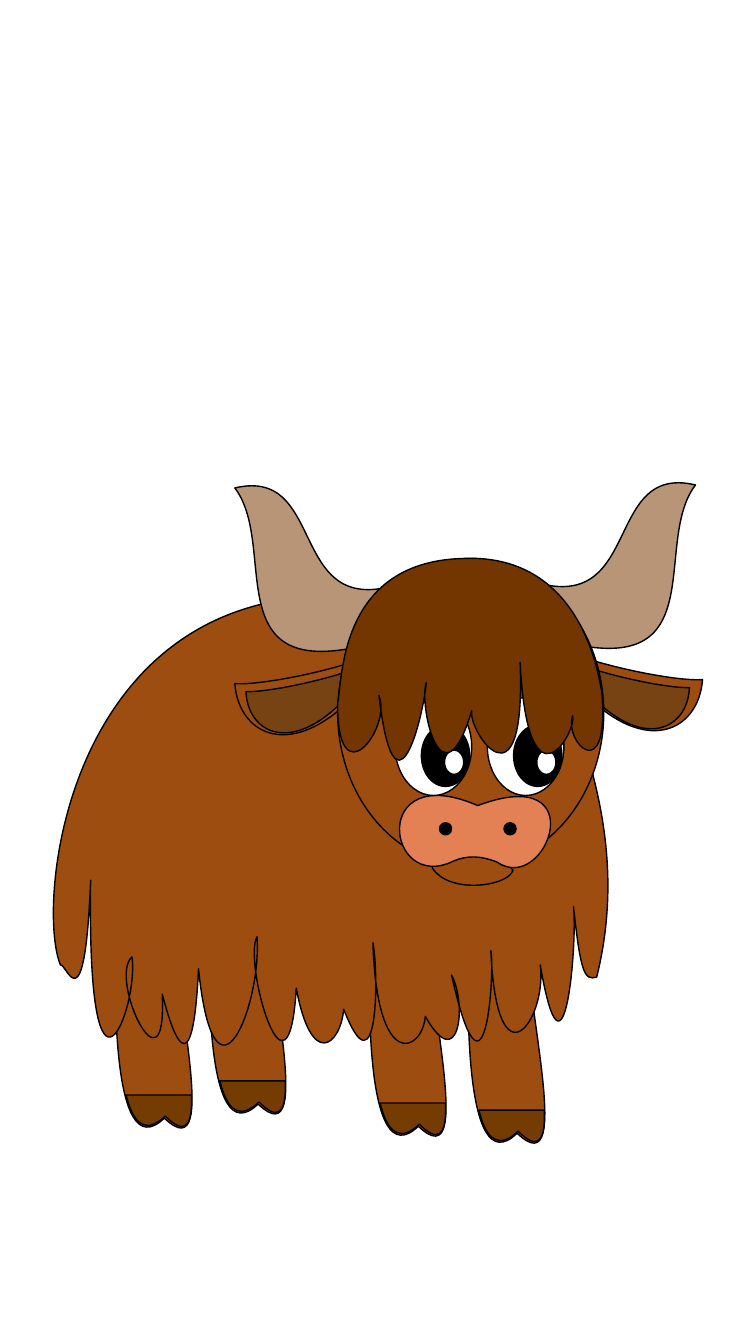
from lxml import etree
from pptx import Presentation, util as u
from pptx.dml.color import RGBColor
from pptx.enum import shapes
from pptx.oxml import ns

COLUMNS, ROWS = 750, 1333
CELL = u.Inches(0.01)
COLOURS = {
    "white": "FFFFFF", "black": "000000", "coat": "9D4D10", "fringe": "733600",
    "hoof": "743C01", "horn": "B89577", "inner ear": "784312", "muzzle": "E38054",
}

deck = Presentation()
deck.slide_width, deck.slide_height = COLUMNS * CELL, ROWS * CELL
slide = deck.slides.add_slide(deck.slide_layouts[6])


def paint(part, colour, outline="black"):
    part.shadow.inherit = False
    part.fill.solid()
    part.fill.fore_color.rgb = RGBColor.from_string(COLOURS[colour])
    part.line.color.rgb = RGBColor.from_string(COLOURS[outline])
    part.line.width = u.Pt(1)


def trace(outline, colour, left=0, top=0, direction=1):
    """Draw a closed outline of grid points (x, y) and cubic curves (x1, y1, x2, y2, x, y).

    A direction of -1 mirrors the outline, with left as the place of its zero.
    """
    steps = [[(round((left + direction * x) * CELL), round((top + y) * CELL))
              for x, y in zip(step[::2], step[1::2])] for step in outline]

    # The frame spans the curves themselves, not their control points
    reached = []
    for before, step in zip([steps[0]] + steps, steps):
        reached.append(step[-1])
        if len(step) == 3:
            for t in (i / 40 for i in range(40)):
                weights = ((1 - t) ** 3, 3 * t * (1 - t) ** 2, 3 * t * t * (1 - t), t ** 3)
                curve = [before[-1], *step]
                reached.append(tuple(sum(w * p[axis] for w, p in zip(weights, curve))
                                     for axis in (0, 1)))
    xs, ys = zip(*reached)
    builder = slide.shapes.build_freeform(round(min(xs)), round(min(ys)))
    builder.add_line_segments([(round(max(xs)), round(max(ys)))])
    part = builder.convert_to_shape()

    # Swap the frame's diagonal for the curved outline
    route = part._element.find(".//" + ns.qn("a:path"))
    for segment in list(route):
        route.remove(segment)
    for i, step in enumerate(steps):
        tag = "a:moveTo" if i == 0 else "a:cubicBezTo" if len(step) == 3 else "a:lnTo"
        segment = etree.SubElement(route, ns.qn(tag))
        for x, y in step:
            etree.SubElement(segment, ns.qn("a:pt"), x=str(x - part.left), y=str(y - part.top))
    etree.SubElement(route, ns.qn("a:close"))
    paint(part, colour)


ground = slide.shapes.add_shape(
    shapes.MSO_SHAPE.RECTANGLE, 0, 433 * CELL, COLUMNS * CELL, 900 * CELL)
paint(ground, "white", "white")

# Legs and hooves, the nearest one first
leg = [(58, 0), (2, 0), (-1, 68, -6, 266, 49, 213), (108, 269, 53, 70, 58, 0)]
hoof = [(76, 190), (11, 190), (14, 200), (21, 220, 32, 228, 50, 211),
        (68, 229, 75, 222, 76, 201)]
for left, top in [(464, 911), (366, 904), (114, 896), (207, 882)]:
    trace(leg, "coat", left, top)
    trace(hoof, "hoof", left, top)

# Right ear and horn, body, then the mirrored ear and horn
ear = [(697, 674), (675, 676, 602, 663, 553, 643), (563, 669),
       (634, 756, 693, 728, 697, 674)]
horn = [(690, 481), (594, 458, 642, 625, 513, 571), (546, 633),
        (713, 682, 645, 540, 690, 481)]
inner_ear = [(684, 682), (666, 683, 607, 672, 566, 656), (575, 677),
             (633, 748, 682, 726, 684, 682)]
body = [
    (546, 643),
    (80, 442, 30, 884, 60, 957), (66, 955, 84, 1022, 90, 873),
    (86, 1134, 138, 999, 131, 949), (107, 971, 166, 1093, 161, 986),
    (163, 992, 190, 1108, 197, 961), (213, 1116, 260, 995, 255, 929),
    (241, 955, 286, 1112, 294, 980), (309, 1062, 338, 1036, 341, 1001),
    (375, 1088, 376, 967, 370, 935), (374, 1065, 419, 1043, 422, 1008),
    (455, 1067, 464, 997, 448, 967), (482, 1119, 491, 961, 487, 943),
    (493, 1082, 543, 1011, 536, 957), (560, 1097, 573, 933, 569, 899),
    (576, 965, 580, 973, 592, 969), (624, 840, 580, 735, 546, 643),
]
trace(ear, "coat")
trace(horn, "horn")
trace(body, "coat")
trace(ear, "coat", 930, 4, -1)
trace(horn, "horn", 923, 3, -1)
trace(inner_ear, "inner ear", 928, 4, -1)
trace(inner_ear, "inner ear")

# Face
mouth = [(508, 865), (515, 862, 485, 848, 471, 848), (458, 847, 424, 857, 429, 861),
         (446, 887, 501, 879, 508, 865)]
muzzle = [(474, 799), (366, 752, 383, 887, 450, 854), (464, 848, 478, 849, 493, 855),
          (542, 889, 591, 755, 474, 799)]
head = [(335, 554, 264, 306, "coat")]
features = [(left, 816, 12, 12, "black") for left in (500, 436)]
for eye_left in (392, 483.5):
    features += [(eye_left, 692, 76, 97, "white"),
                 (eye_left + 26, 719, 48, 61, "black"),
                 (eye_left + 49, 744, 19, 24, "white")]
for ovals, outlines in [(head, [(mouth, "coat"), (muzzle, "muzzle")]), (features, [])]:
    for *frame, colour in ovals:
        paint(slide.shapes.add_shape(
            shapes.MSO_SHAPE.OVAL, *(round(length * CELL) for length in frame)), colour)
    for outline, colour in outlines:
        trace(outline, colour)

fringe = [
    (568, 710),
    (559, 736, 605, 782, 597, 687), (593, 662, 573, 548, 458, 554),
    (336, 558, 340, 674, 335, 697), (334, 794, 389, 722, 376, 690),
    (391, 818, 418, 722, 423, 677), (415, 698, 438, 804, 468, 705),
    (464, 725, 522, 811, 516, 657), (524, 812, 573, 724, 568, 710),
]
trace(fringe, "fringe")

deck.save("out.pptx")
